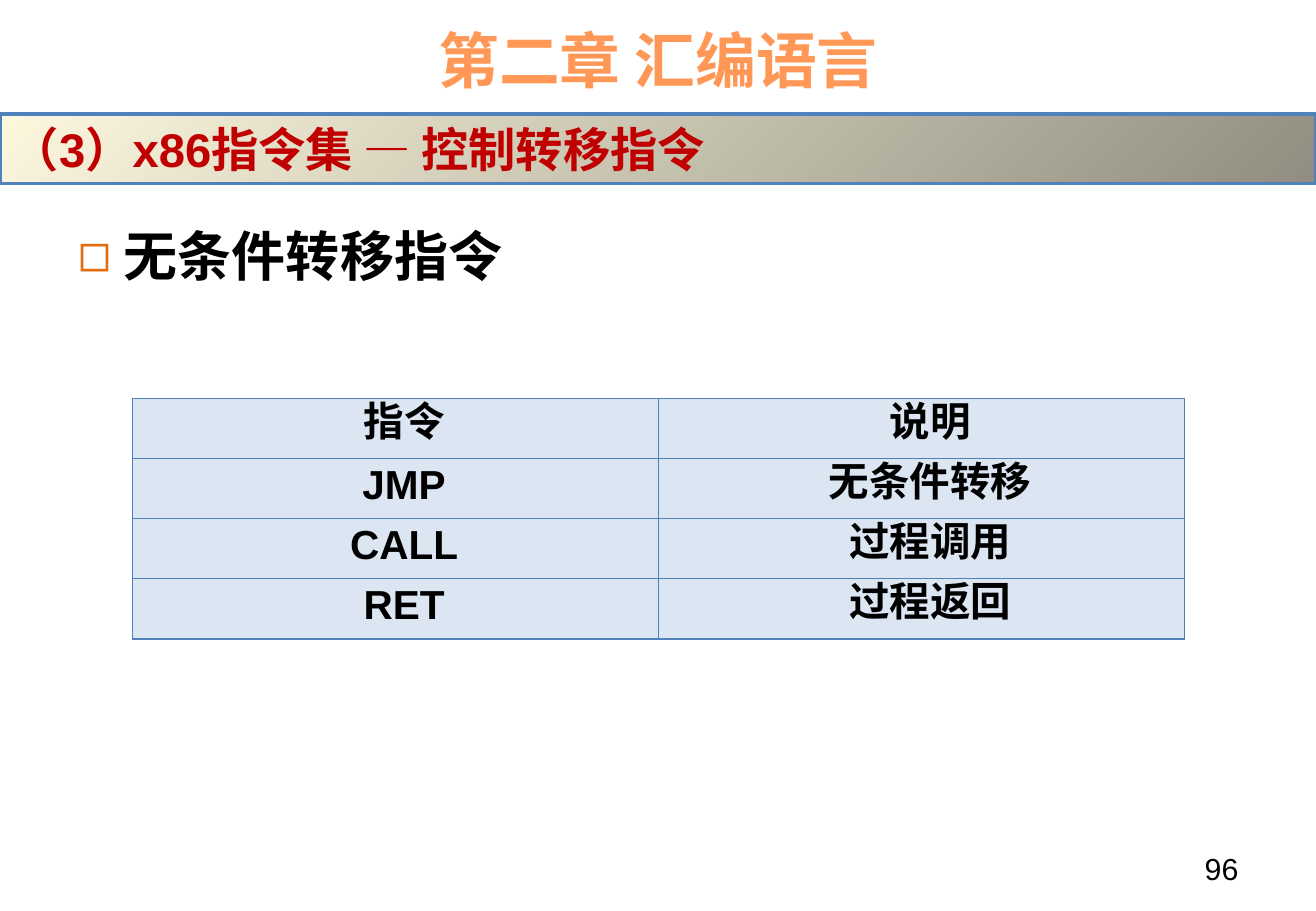
from dataclasses import dataclass

from lxml.etree import SubElement
from pptx import Presentation
from pptx.dml.color import RGBColor
from pptx.enum.shapes import MSO_SHAPE
from pptx.enum.text import MSO_ANCHOR, MSO_AUTO_SIZE, PP_ALIGN
from pptx.oxml.ns import qn
from pptx.util import Pt

EMU_PER_PX = 9144


def px(length):
    return length * EMU_PER_PX


@dataclass(frozen=True)
class Theme:
    font: str = "Arial"
    title: str = "FF9856"
    heading: str = "C00000"
    text: str = "000000"
    bullet: str = "E46C0A"
    line: str = "4F81BD"
    cell: str = "DCE6F2"
    banner_start: str = "FCF7DD"
    banner_end: str = "918E81"
    title_size: int = 36
    body_size: int = 32
    heading_size: int = 28
    table_size: int = 24
    number_size: int = 18
    table_leading: int = 23


class SlideBuilder:
    def __init__(self, deck, theme):
        self.theme = theme
        self.slide = deck.slides.add_slide(deck.slide_layouts[1])

    def place(self, shape, left, top, width, height):
        shape.left, shape.top = px(left), px(top)
        shape.width, shape.height = px(width), px(height)

    def set_text(self, frame, text, size, color, bold=True, align=PP_ALIGN.LEFT):
        frame.text = text
        para = frame.paragraphs[0]
        para.alignment = align
        for span in para.runs:
            span.font.name = self.theme.font
            span.font.size = Pt(size)
            span.font.bold = bold
            span.font.color.rgb = RGBColor.from_string(color)
        return para

    def indent(self, para, left, first):
        properties = para._p.get_or_add_pPr()
        properties.set("marL", str(px(left)))
        properties.set("indent", str(px(first)))
        return properties

    def title(self, text, *bounds):
        title = self.slide.shapes.title
        self.place(title, *bounds)
        frame = title.text_frame
        frame.auto_size = MSO_AUTO_SIZE.NONE
        frame.vertical_anchor = MSO_ANCHOR.MIDDLE
        self.set_text(frame, text, self.theme.title_size, self.theme.title, align=PP_ALIGN.CENTER)

    def bullet(self, text, *bounds):
        body = self.slide.placeholders[1]
        self.place(body, *bounds)
        frame = body.text_frame
        frame.auto_size = MSO_AUTO_SIZE.NONE
        para = self.set_text(frame, text, self.theme.body_size, self.theme.text)
        properties = self.indent(para, 38, -38)
        color = SubElement(properties, qn("a:buClr"))
        SubElement(color, qn("a:srgbClr"), val=self.theme.bullet)
        SubElement(properties, qn("a:buChar"), char="◻")

    def banner(self, text, *bounds):
        banner = self.slide.shapes.add_shape(MSO_SHAPE.RECTANGLE, *map(px, bounds))
        banner.shadow.inherit = False
        banner.line.color.rgb = RGBColor.from_string(self.theme.line)
        banner.line.width = Pt(2)
        banner.fill.gradient()
        colors = (self.theme.banner_start, self.theme.banner_end)
        for position, (stop, color) in enumerate(zip(banner.fill.gradient_stops, colors)):
            stop.position = position
            stop.color.rgb = RGBColor.from_string(color)
        gradient = banner._element.spPr.find(qn("a:gradFill"))
        gradient.remove(gradient.find(qn("a:lin")))
        circle = SubElement(gradient, qn("a:path"), path="circle")
        SubElement(circle, qn("a:fillToRect"), r="100000", b="100000")
        frame = banner.text_frame
        frame.word_wrap = True
        frame.vertical_anchor = MSO_ANCHOR.TOP
        frame.auto_size = MSO_AUTO_SIZE.SHAPE_TO_FIT_TEXT
        self.set_text(frame, text, self.theme.heading_size, self.theme.heading)

    def border(self, cell):
        properties = cell._tc.get_or_add_tcPr()
        for side in ("lnL", "lnR", "lnT", "lnB"):
            line = SubElement(properties, qn(f"a:{side}"), w=str(Pt(1)))
            fill = SubElement(line, qn("a:solidFill"))
            SubElement(fill, qn("a:srgbClr"), val=self.theme.line)

    def table(self, rows, *bounds):
        frame = self.slide.shapes.add_table(len(rows), len(rows[0]), *map(px, bounds))
        for row, texts in zip(frame.table.rows, rows):
            for cell, text in zip(row.cells, texts):
                self.border(cell)
                cell.fill.solid()
                cell.fill.fore_color.rgb = RGBColor.from_string(self.theme.cell)
                cell.margin_left = cell.margin_right = px(7)
                cell.margin_top = cell.margin_bottom = 0
                cell.vertical_anchor = MSO_ANCHOR.MIDDLE
                para = self.set_text(cell.text_frame, text, self.theme.table_size,
                                     self.theme.text, align=PP_ALIGN.CENTER)
                para.line_spacing = Pt(self.theme.table_leading)
                self.indent(para, 0, 14)

    def page_number(self, text, *bounds):
        box = self.slide.shapes.add_textbox(*map(px, bounds))
        box.text_frame.word_wrap = True
        self.set_text(box.text_frame, text, self.theme.number_size, self.theme.text,
                      bold=False, align=PP_ALIGN.RIGHT)


def main():
    deck = Presentation()
    deck.slide_width, deck.slide_height = px(1083), px(750)
    page = SlideBuilder(deck, Theme())
    page.title("第二章 汇编语言", 54, 13, 975, 71)
    page.bullet("无条件转移指令", 54, 178, 975, 535)
    page.banner("（3）x86指令集 — 控制转移指令", 0, 94, 1083, 57)
    instructions = [
        ("指令", "说明"),
        ("JMP", "无条件转移"),
        ("CALL", "过程调用"),
        ("RET", "过程返回"),
    ]
    page.table(instructions, 109, 328, 866, 198)
    page.page_number("96", 776, 695, 253, 40)
    deck.save("out.pptx")


if __name__ == "__main__":
    main()
